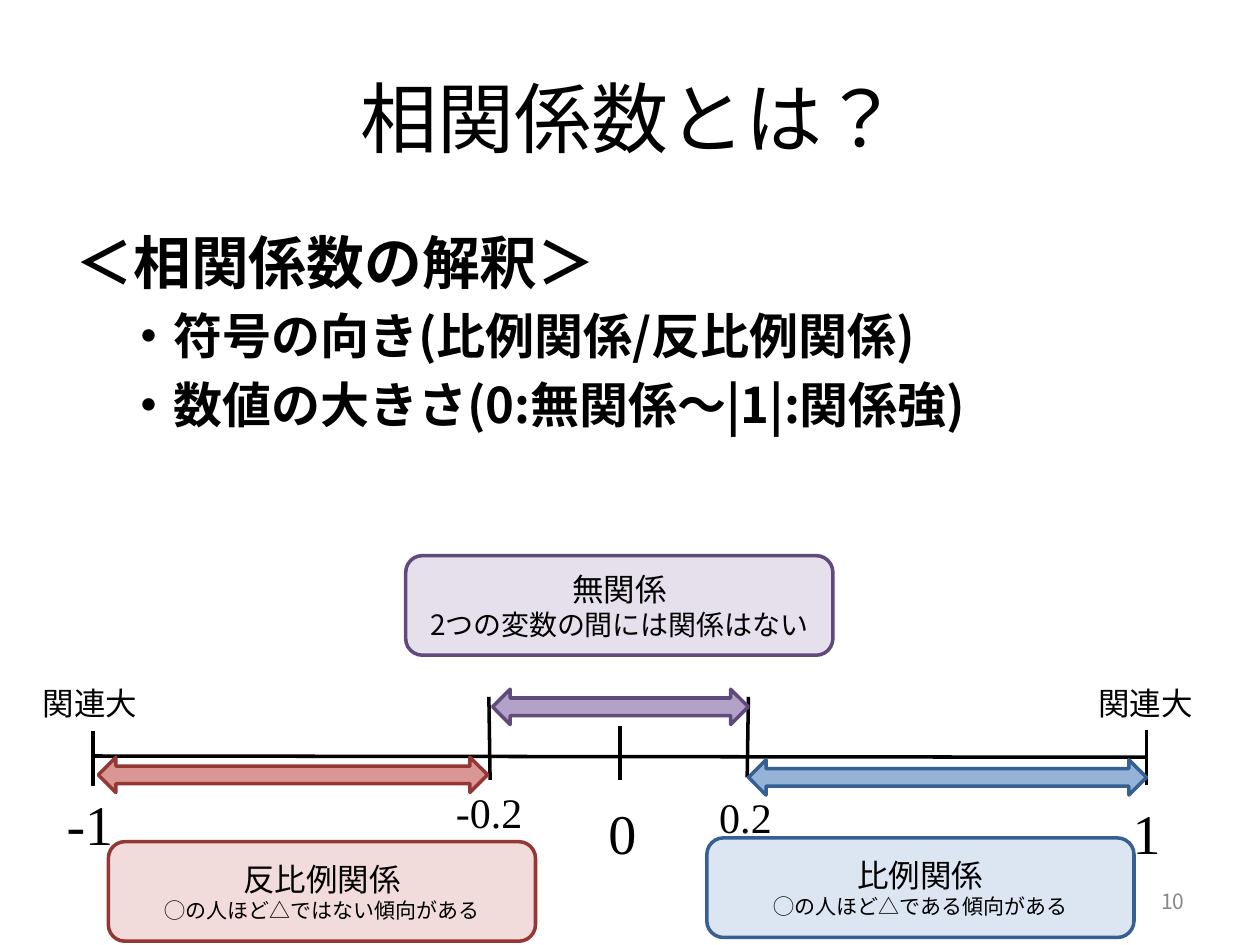
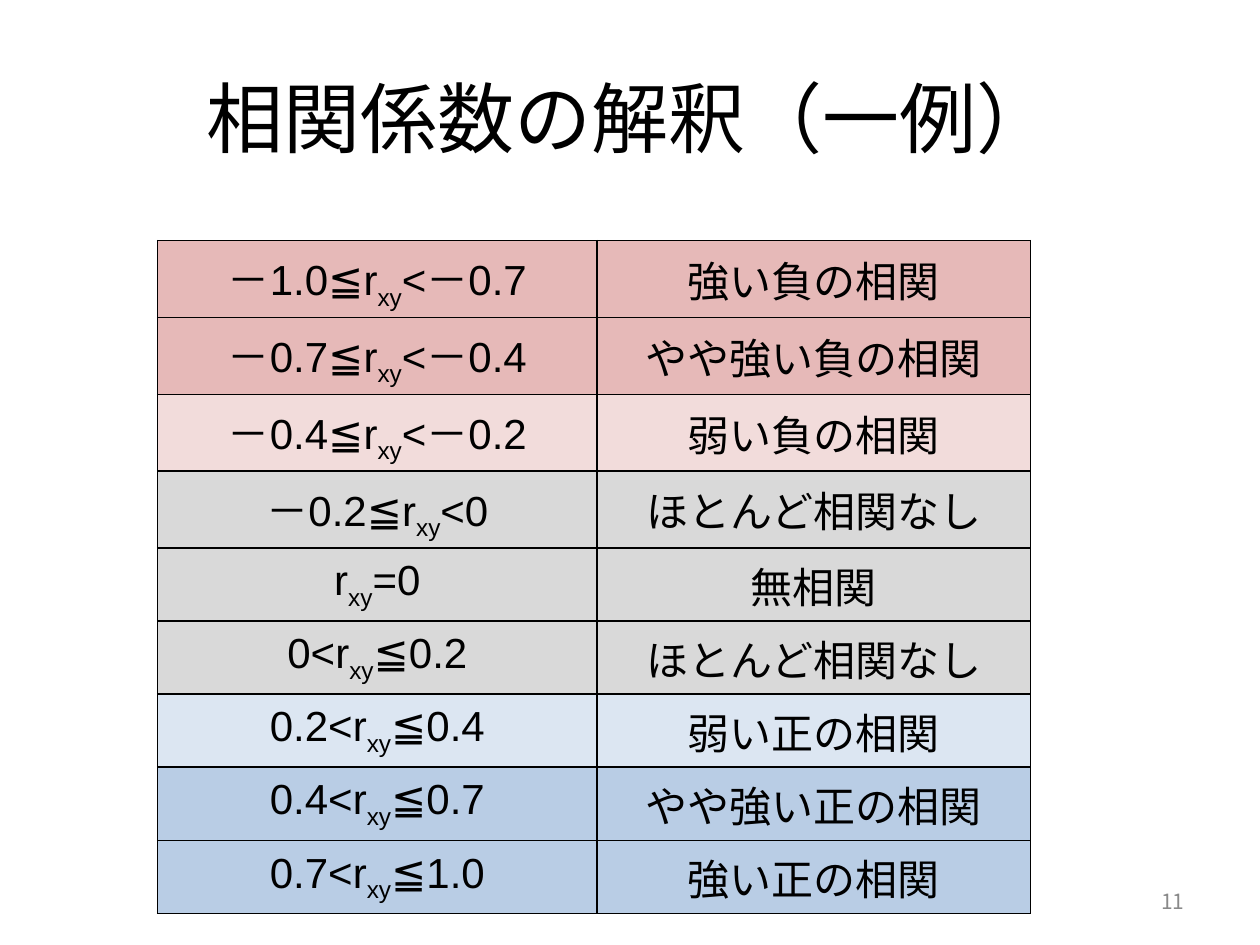
"""Build two slides on reading correlation coefficients."""
import pptx
import pptx.util
import pptx.dml.color
import pptx.enum.lang
import pptx.enum.shapes
import pptx.enum.text
import pptx.oxml.ns
from lxml import etree

Inches, Pt = pptx.util.Inches, pptx.util.Pt
SHAPE = pptx.enum.shapes.MSO_SHAPE
ALIGN = pptx.enum.text.PP_ALIGN
MIDDLE = pptx.enum.text.MSO_ANCHOR.MIDDLE
JAPANESE = pptx.enum.lang.MSO_LANGUAGE_ID.JAPANESE
qn = pptx.oxml.ns.qn

SANS, SERIF, ARIAL = "Noto Sans CJK JP", "Times New Roman", "Arial"
COLORS = {
    "ink": "000000", "page": "898989",
    "purple": "B3A2C7", "purple_line": "604A7B", "purple_pale": "E6E0EC",
    "blue": "95B3D7", "blue_line": "376092", "blue_pale": "DCE6F2",
    "red": "D99694", "red_line": "953735", "red_pale": "F2DCDB",
    "negative": "E6B9B8", "none": "D9D9D9", "positive": "B9CDE5",
}
FIRST_PAGE = 10
TITLES = ["相関係数とは？", "相関係数の解釈（一例）"]
HEADING = "＜相関係数の解釈＞"
POINTS = ["・符号の向き(比例関係/反比例関係)", "・数値の大きさ(0:無関係～|1|:関係強)"]

AXIS = (0.74, 6.0, 9.1, 6.01)
TICKS = [
    # label, bottom x, bottom, top x, top, label box, size
    ("-1", 0.74, 6.24, 0.74, 5.8, (0.43, 6.22, 0.58, 0.64), 32),
    ("-0.2", 3.89, 6.19, 3.88, 5.53, (3.52, 6.19, 0.73, 0.5), 24),
    ("0", 4.92, 6.19, 4.92, 5.76, (4.73, 6.29, 0.43, 0.64), 32),
    ("0.2", 5.93, 6.17, 5.94, 5.53, (5.61, 6.23, 0.62, 0.5), 24),
    ("1", 9.1, 6.23, 9.1, 5.79, (8.89, 6.29, 0.43, 0.64), 32),
]
END_LABEL = "関連大"
END_LABEL_LEFTS = (0.24, 8.62)
ZONES = [
    {"hue": "purple", "arrow": (3.91, 5.47, 2.03), "box": (3.22, 4.41),
     "name": "無関係", "note": "2つの変数の間には関係はない", "size": 16},
    {"hue": "blue", "arrow": (5.94, 6.03, 3.16), "box": (5.61, 6.65),
     "name": "比例関係", "note": "◯の人ほど△である傾向がある", "size": 12},
    {"hue": "red", "arrow": (0.78, 6.01, 3.09), "box": (0.86, 6.68),
     "name": "反比例関係", "note": "◯の人ほど△ではない傾向がある", "size": 12},
]
ARROW_H, BOX_W, BOX_H = 0.28, 3.39, 0.79

RANGES = [
    ("－1.0≦r", "<－0.7", "強い負の相関", "negative"),
    ("－0.7≦r", "<－0.4", "やや強い負の相関", "negative"),
    ("－0.4≦r", "<－0.2", "弱い負の相関", "red_pale"),
    ("－0.2≦r", "<0", "ほとんど相関なし", "none"),
    ("r", "=0", "無相関", "none"),
    ("0<r", "≦0.2", "ほとんど相関なし", "none"),
    ("0.2<r", "≦0.4", "弱い正の相関", "blue_pale"),
    ("0.4<r", "≦0.7", "やや強い正の相関", "positive"),
    ("0.7<r", "≦1.0", "強い正の相関", "positive"),
]
COL_WIDTHS = (3.49, 3.44)
ROW_HEIGHTS = [0.61 if before.startswith("－") else 0.58 for before, *_ in RANGES]


def rgb(name):
    return pptx.dml.color.RGBColor.from_string(COLORS[name])


def add_run(p, text, size, font=SANS, color="ink", bold=False):
    r = p.add_run()
    r.text = text
    formats = {"size": Pt(size), "name": font, "bold": bold, "language_id": JAPANESE}
    for key, value in formats.items():
        setattr(r.font, key, value)
    r.font.color.rgb = rgb(color)
    etree.SubElement(r.font._element, qn("a:ea")).set("typeface", SANS)
    return r


def add_text(s, box, text, size, font, color="ink", align=ALIGN.LEFT, wrap=False):
    tf = s.shapes.add_textbox(*map(Inches, box)).text_frame
    tf.word_wrap = wrap
    tf.paragraphs[0].alignment = align
    add_run(tf.paragraphs[0], text, size, font, color)
    return tf


def add_line(s, *ends):
    line = s.shapes.add_connector(
        pptx.enum.shapes.MSO_CONNECTOR.STRAIGHT, *map(Inches, ends))
    line.line.color.rgb = rgb("ink")
    line.line.width = Pt(2)
    etree.SubElement(line._element.spPr, qn("a:effectLst"))


def add_shape(s, kind, box, fill, line):
    sp = s.shapes.add_shape(kind, *map(Inches, box))
    sp.shadow.inherit = False
    sp.fill.solid()
    sp.fill.fore_color.rgb = rgb(fill)
    sp.line.color.rgb = rgb(line)
    sp.line.width = Pt(2)
    return sp


def place(sp, *box):
    for key, value in zip(("left", "top", "width", "height"), box):
        setattr(sp, key, Inches(value))


def add_slide(prs, layout, index):
    s = prs.slides.add_slide(prs.slide_layouts[layout])
    title = s.shapes.title
    place(title, 0.5, 0.3, 9, 1.25)
    title.text_frame.vertical_anchor = MIDDLE
    p = title.text_frame.paragraphs[0]
    p.alignment = ALIGN.CENTER
    add_run(p, TITLES[index], 44)
    tf = add_text(s, (7.17, 6.95, 2.33, 0.4), str(FIRST_PAGE + index), 12,
                  SANS, "page", ALIGN.RIGHT, True)
    tf.vertical_anchor = MIDDLE
    return s


def set_margin(p, margin):
    pPr = p._p.get_or_add_pPr()
    pPr.set("marL", str(Inches(margin)))
    pPr.set("indent", "0")
    etree.SubElement(pPr, qn("a:buNone"))


def fill_body(body):
    place(body, 0.5, 1.75, 9, 2.02)
    tf = body.text_frame
    tf.auto_size = pptx.enum.text.MSO_AUTO_SIZE.NONE
    p = tf.paragraphs[0]
    set_margin(p, 0)
    add_run(p, HEADING, 33, bold=True)
    for point in POINTS:
        p = tf.add_paragraph()
        set_margin(p, 0.39)
        add_run(p, point, 28, bold=True)


def add_zone(s, zone):
    hue = zone["hue"]
    add_shape(s, SHAPE.LEFT_RIGHT_ARROW, (*zone["arrow"], ARROW_H), hue, hue + "_line")
    sp = add_shape(s, SHAPE.ROUNDED_RECTANGLE, (*zone["box"], BOX_W, BOX_H),
                   hue + "_pale", hue + "_line")
    tf = sp.text_frame
    tf.vertical_anchor = MIDDLE
    for p, text, size in ((tf.paragraphs[0], zone["name"], 18),
                          (tf.add_paragraph(), zone["note"], zone["size"])):
        p.alignment = ALIGN.CENTER
        add_run(p, text, size)


def add_scale(s):
    add_line(s, *AXIS)
    for label, x1, y1, x2, y2, box, size in TICKS:
        add_line(s, x1, y1, x2, y2)
        add_text(s, box, label, size, SERIF)
    for left in END_LABEL_LEFTS:
        add_text(s, (left, 5.38, 0.96, 0.4), END_LABEL, 18, ARIAL)
    for zone in ZONES:
        add_zone(s, zone)


def format_cell(cell, fill):
    tcPr = cell._tc.get_or_add_tcPr()
    for side in ("L", "R", "T", "B"):
        ln = etree.SubElement(tcPr, qn(f"a:ln{side}"), w=str(Pt(1)))
        solid = etree.SubElement(ln, qn("a:solidFill"))
        etree.SubElement(solid, qn("a:srgbClr"), val=COLORS["ink"])
    cell.fill.solid()
    cell.fill.fore_color.rgb = rgb(fill)
    cell.vertical_anchor = MIDDLE
    p = cell.text_frame.paragraphs[0]
    p.alignment = ALIGN.CENTER
    return p


def add_ranges(s):
    box = (1.25, 1.91, sum(COL_WIDTHS), sum(ROW_HEIGHTS))
    table = s.shapes.add_table(len(RANGES), 2, *map(Inches, box)).table
    table.first_row = table.horz_banding = False
    for column, width in zip(table.columns, COL_WIDTHS):
        column.width = Inches(width)
    for row, height, (before, after, meaning, fill) in zip(
            table.rows, ROW_HEIGHTS, RANGES):
        row.height = Inches(height)
        limits, name = (format_cell(cell, fill) for cell in row.cells)
        add_run(limits, before, 24, ARIAL)
        sub = add_run(limits, "xy", 24, ARIAL)
        sub.font._element.set("baseline", "-25000")
        add_run(limits, after, 24, ARIAL)
        add_run(name, meaning, 24, ARIAL)


def main():
    prs = pptx.Presentation()
    prs.slide_width, prs.slide_height = Inches(10), Inches(7.5)
    s = add_slide(prs, 1, 0)
    fill_body(s.placeholders[1])
    add_scale(s)
    add_ranges(add_slide(prs, 5, 1))
    prs.save("out.pptx")


if __name__ == "__main__":
    main()
